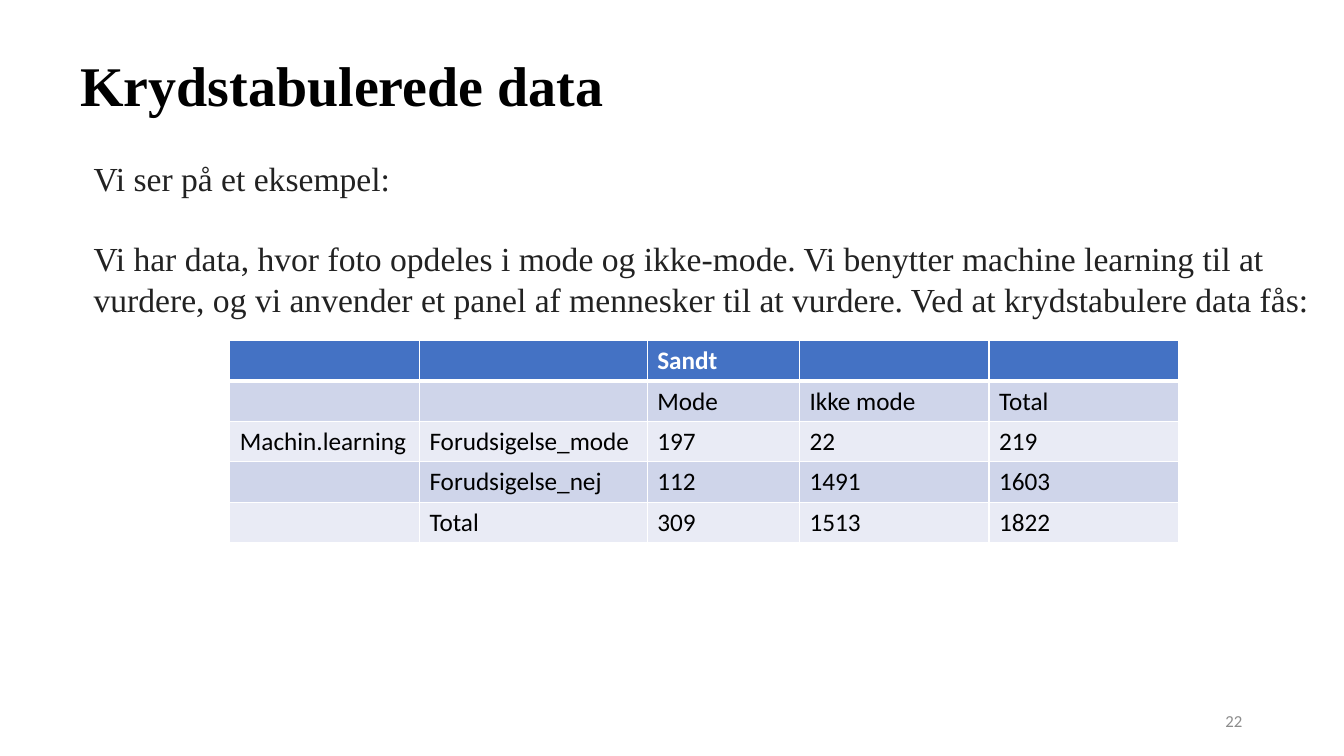
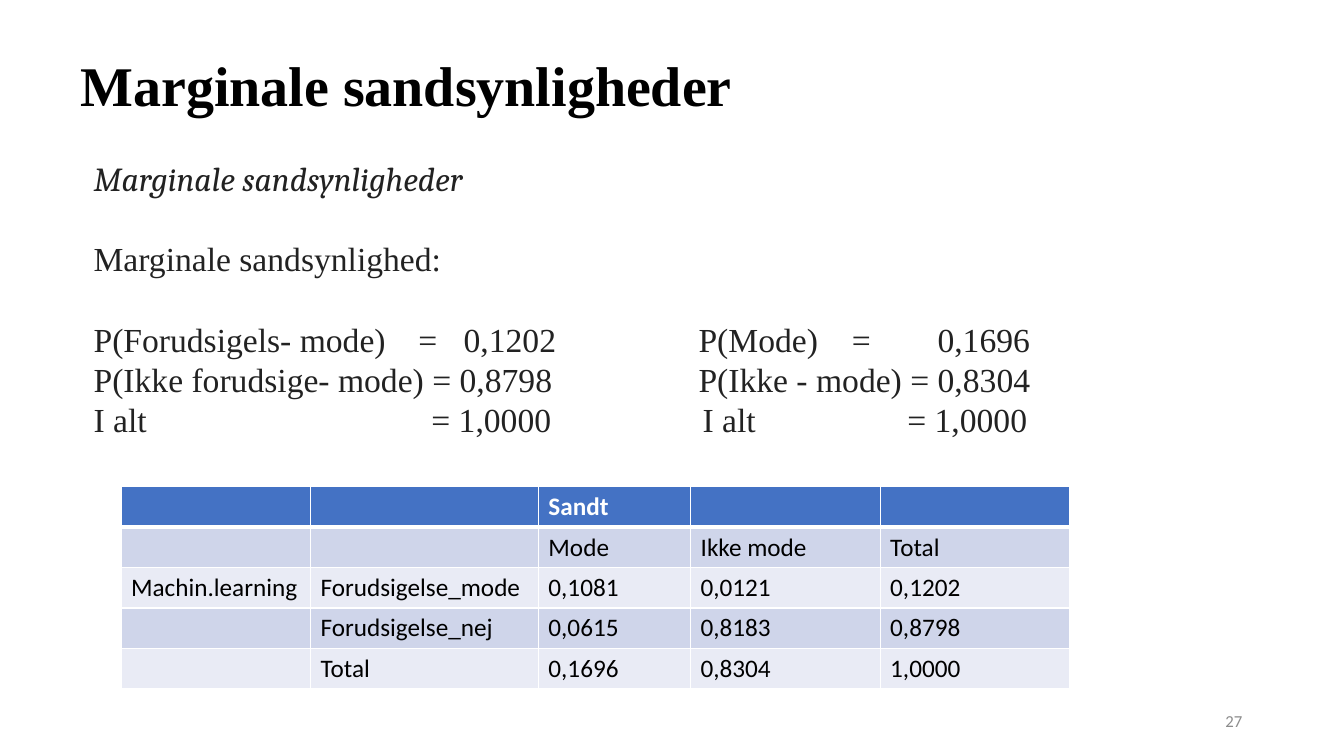
import pptx
import pptx.dml.color
import pptx.enum.text
import pptx.oxml.ns
import pptx.util
from dataclasses import dataclass
from lxml import etree

PX = 9144  # EMU per px, 100 px to the inch
ALIGN = pptx.enum.text.PP_ALIGN
ANCHOR = pptx.enum.text.MSO_ANCHOR


@dataclass(frozen=True)
class Theme:
    serif: str = "Times New Roman"
    accent_serif: str = "Cambria"
    sans: str = "Calibri"
    black: str = "000000"
    white: str = "FFFFFF"
    body: str = "222222"
    muted: str = "8C8C8C"
    header: str = "4472C4"
    bands: tuple = ("CFD5EA", "E9EBF5")
    title_size: int = 40
    body_size: int = 24
    table_size: int = 18
    number_size: int = 12
    body_line: float = 28.7
    border: int = 1
    header_rule: int = 3


THEME = Theme()
SLIDE = (1333, 750)
TITLE_BOX = (70, 15, 1223, 145)
NUMBER_BOX = (942, 695, 300, 40)
BODY_BOX = (83, 152, 1232, 454)
COLUMNS = (188, 226, 151, 188, 188)
ROW_HEIGHT = 40


def px(n):
    return pptx.util.Emu(n * PX)


def rgb(color):
    return pptx.dml.color.RGBColor.from_string(color)


def style(p, size, font, color, bold=False, italic=False):
    for r in p.runs:
        r.font.size = pptx.util.Pt(size)
        r.font.name = font
        r.font.color.rgb = rgb(color)
        r.font.bold = bold
        r.font.italic = italic


def add_text(slide, box, text, anchor=ANCHOR.TOP):
    tf = slide.shapes.add_textbox(*map(px, box)).text_frame
    tf.word_wrap = True
    tf.vertical_anchor = anchor
    tf.text = text
    return tf


def add_frame(prs, title, number):
    """Blank slide with its title and page number."""
    slide = prs.slides.add_slide(prs.slide_layouts[6])
    p = add_text(slide, TITLE_BOX, title, ANCHOR.MIDDLE).paragraphs[0]
    p.line_spacing = 0.9
    style(p, THEME.title_size, THEME.serif, THEME.black, bold=True)
    p = add_text(slide, NUMBER_BOX, str(number), ANCHOR.MIDDLE).paragraphs[0]
    p.alignment = ALIGN.RIGHT
    style(p, THEME.number_size, THEME.sans, THEME.muted)
    return slide


def set_tabs(p, stops):
    pPr = p._p.get_or_add_pPr()
    tabs = etree.SubElement(pPr, pptx.oxml.ns.qn("a:tabLst"))
    for stop in stops:
        etree.SubElement(tabs, pptx.oxml.ns.qn("a:tab"), pos=str(px(stop)), algn="l")


def add_body(slide, box, lines):
    """Each line is (text, gap above, italic, tab stops)."""
    tf = add_text(slide, box, "\n".join(line[0] for line in lines))
    for p, (_, gap, italic, stops) in zip(tf.paragraphs, lines):
        p.line_spacing = pptx.util.Pt(THEME.body_line)
        p.space_before = pptx.util.Pt(THEME.body_line if gap else 0)
        if stops:
            set_tabs(p, stops)
        font = THEME.accent_serif if italic else THEME.serif
        style(p, THEME.body_size, font, THEME.body, italic=italic)


def set_borders(cell, top, bottom):
    tcPr = cell._tc.get_or_add_tcPr()
    sides = (("L", THEME.border), ("R", THEME.border), ("T", top), ("B", bottom))
    for i, (side, width) in enumerate(sides):
        ln = etree.Element(pptx.oxml.ns.qn("a:ln" + side), w=str(pptx.util.Pt(width)))
        fill = etree.SubElement(ln, pptx.oxml.ns.qn("a:solidFill"))
        etree.SubElement(fill, pptx.oxml.ns.qn("a:srgbClr"), val=THEME.white)
        tcPr.insert(i, ln)


def add_crosstab(slide, left, top, counts):
    """Cross table: predictions down, truth across."""
    labels = (("Machin.learning", "Forudsigelse_mode"), ("", "Forudsigelse_nej"), ("", "Total"))
    rows = [("", "", "Sandt", "", ""), ("", "", "Mode", "Ikke mode", "Total")]
    rows += [label + values for label, values in zip(labels, counts)]
    box = (left, top, sum(COLUMNS), ROW_HEIGHT * len(rows))
    table = slide.shapes.add_table(len(rows), len(COLUMNS), *map(px, box)).table
    table.first_row = table.horz_banding = False
    for column, width in zip(table.columns, COLUMNS):
        column.width = px(width)
    for i, row in enumerate(rows):
        head = i == 0
        for j, text in enumerate(row):
            cell = table.cell(i, j)
            cell.fill.solid()
            cell.fill.fore_color.rgb = rgb(THEME.header if head else THEME.bands[(i - 1) % 2])
            set_borders(cell,
                        top=THEME.header_rule if i == 1 else THEME.border,
                        bottom=THEME.header_rule if head else THEME.border)
            if text:
                cell.text_frame.text = text
                style(cell.text_frame.paragraphs[0], THEME.table_size, THEME.sans,
                      THEME.white if head else THEME.black, bold=head)


def build_example(prs):
    slide = add_frame(prs, "Krydstabulerede data", 22)
    add_body(slide, BODY_BOX, [
        ("Vi ser på et eksempel:", False, False, ()),
        ("Vi har data, hvor foto opdeles i mode og ikke-mode. Vi benytter machine learning "
         "til at vurdere, og vi anvender et panel af mennesker til at vurdere. "
         "Ved at krydstabulere data fås:", True, False, ()),
    ])
    add_crosstab(slide, 228, 338, [
        ("197", "22", "219"),
        ("112", "1491", "1603"),
        ("309", "1513", "1822"),
    ])


def build_marginals(prs):
    slide = add_frame(prs, "Marginale sandsynligheder", 27)
    add_body(slide, BODY_BOX, [
        ("Marginale sandsynligheder", False, True, ()),
        ("Marginale sandsynlighed:", True, False, ()),
        ("P(Forudsigels- mode)\t=\t0,1202\tP(Mode)\t=\t0,1696", True, False,
         (322, 367, 600, 752, 837)),
        ("P(Ikke forudsige- mode) = 0,8798\tP(Ikke - mode) = 0,8304", False, False, (600,)),
        ("I alt\t= 1,0000\tI alt\t= 1,0000", False, False, (335, 604, 807)),
    ])
    add_crosstab(slide, 120, 483, [
        ("0,1081", "0,0121", "0,1202"),
        ("0,0615", "0,8183", "0,8798"),
        ("0,1696", "0,8304", "1,0000"),
    ])


def main():
    prs = pptx.Presentation()
    prs.slide_width, prs.slide_height = map(px, SLIDE)
    build_example(prs)
    build_marginals(prs)
    prs.save("out.pptx")


if __name__ == "__main__":
    main()
